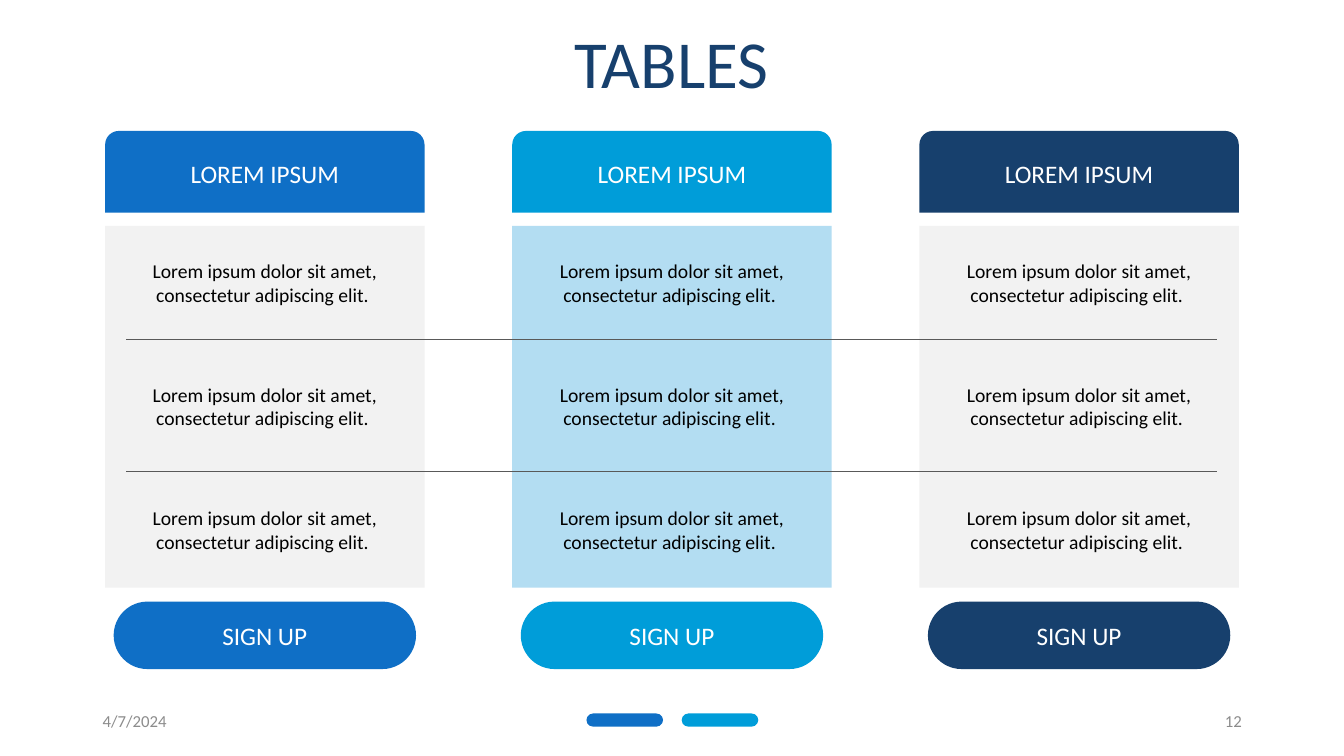
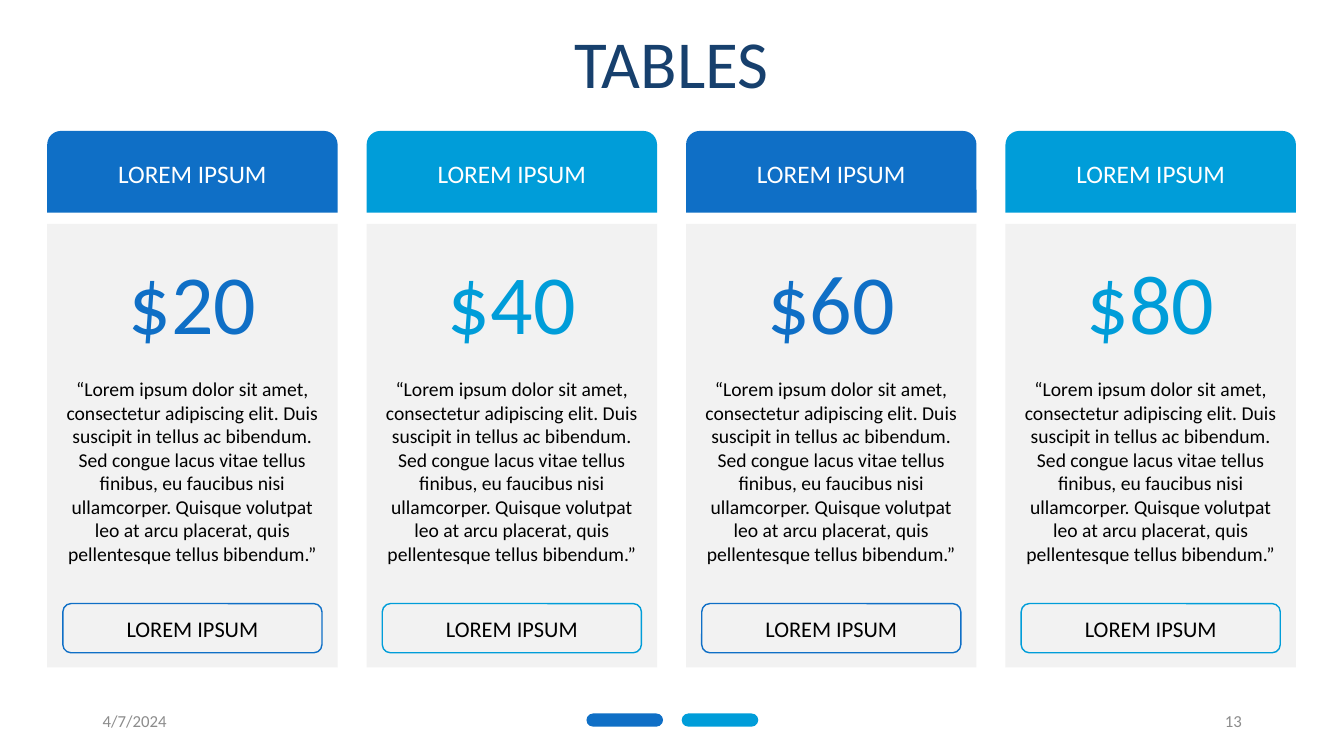
"""Build two pricing-table slides that share a title, a footer and column headers."""
from dataclasses import dataclass
from typing import NamedTuple, Optional

from lxml.etree import SubElement
from pptx import Presentation
from pptx.dml.color import RGBColor as RGB
from pptx.enum.shapes import MSO_AUTO_SHAPE_TYPE as Geo, MSO_CONNECTOR as Conn
from pptx.enum.text import MSO_ANCHOR as Anchor, MSO_AUTO_SIZE as Fit, PP_ALIGN as Align
from pptx.oxml.ns import qn
from pptx.slide import Slide
from pptx.text.text import TextFrame
from pptx.util import Cm, Pt


@dataclass(frozen=True)
class Theme:
    font: str = "Calibri"
    blue: RGB = RGB(0x0F, 0x6F, 0xC6)
    cyan: RGB = RGB(0x00, 0x9D, 0xD9)
    navy: RGB = RGB(0x17, 0x40, 0x6D)
    pale: RGB = RGB(0xB3, 0xDD, 0xF2)
    panel: RGB = RGB(0xF2, 0xF2, 0xF2)
    white: RGB = RGB(0xFF, 0xFF, 0xFF)
    black: RGB = RGB(0x00, 0x00, 0x00)
    grey: RGB = RGB(0x8C, 0x8C, 0x8C)
    rule: RGB = RGB(0x59, 0x59, 0x59)
    title: int = 48
    price: int = 60
    header: int = 18
    label: int = 16
    body: int = 14
    footer: int = 12


T = Theme()


class Box(NamedTuple):
    x: float
    y: float
    w: float
    h: float

    def emu(self) -> tuple:
        return tuple(Cm(v) for v in self)

    def inner(self, y: float, w: float, h: float) -> "Box":
        return Box(self.x + (self.w - w) / 2, y, w, h)


@dataclass(frozen=True)
class Style:
    size: int
    color: RGB
    align: Align = Align.CENTER
    anchor: Anchor = Anchor.MIDDLE
    inset: bool = True


@dataclass(frozen=True)
class Plan:
    color: RGB
    panel: RGB = T.panel
    price: str = ""


HEADER = Style(T.header, T.white)
ITEM = "Lorem ipsum dolor sit amet, consectetur adipiscing elit. "
QUOTE = (
    "“Lorem ipsum dolor sit amet, consectetur adipiscing elit. Duis suscipit in tellus "
    "ac bibendum. Sed congue lacus vitae tellus finibus, eu faucibus nisi ullamcorper. "
    "Quisque volutpat leo at arcu placerat, quis pellentesque tellus bibendum.”"
)
FEATURE_PLANS = (Plan(T.blue), Plan(T.cyan, T.pale), Plan(T.navy))
PRICE_PLANS = (
    Plan(T.blue, price="$20"),
    Plan(T.cyan, price="$40"),
    Plan(T.blue, price="$60"),
    Plan(T.cyan, price="$80"),
)


def write(tf: TextFrame, text: str, style: Style) -> None:
    tf.word_wrap = True
    tf.auto_size = Fit.NONE
    tf.vertical_anchor = style.anchor
    if not style.inset:
        tf.margin_left = tf.margin_top = tf.margin_right = tf.margin_bottom = 0
    p = tf.paragraphs[0]
    p.alignment = style.align
    r = p.add_run()
    r.text = text
    r.font.name = T.font
    r.font.size = Pt(style.size)
    r.font.color.rgb = style.color


def add_text(s: Slide, box: Box, text: str, style: Style) -> None:
    write(s.shapes.add_textbox(*box.emu()).text_frame, text, style)


def add_block(s: Slide, geo: Geo, box: Box, fill: Optional[RGB] = None,
              line: Optional[RGB] = None, text: str = "", style: Style = HEADER,
              radius: Optional[float] = None) -> None:
    sp = s.shapes.add_shape(geo, *box.emu())
    sp.shadow.inherit = False
    if radius is not None:
        sp.adjustments[0] = radius
    if fill is None:
        sp.fill.background()
    else:
        sp.fill.solid()
        sp.fill.fore_color.rgb = fill
    if line is None:
        sp.line.fill.background()
    else:
        sp.line.color.rgb = line
        sp.line.width = Pt(1)
    if text:
        write(sp.text_frame, text, style)


def add_rule(s: Slide, x1: float, x2: float, y: float) -> None:
    cx = s.shapes.add_connector(Conn.STRAIGHT, Cm(x1), Cm(y), Cm(x2), Cm(y))
    cx.line.color.rgb = T.rule
    cx.line.width = Pt(0.5)
    SubElement(cx._element.spPr, qn("a:effectLst"))


def add_slide(prs: Presentation, title: str, number: int) -> Slide:
    s = prs.slides.add_slide(prs.slide_layouts[5])
    sp = s.shapes.title
    sp.left, sp.top, sp.width, sp.height = Box(1.19, 0.53, 31.47, 2.06).emu()
    write(sp.text_frame, title, Style(T.title, T.navy, anchor=Anchor.TOP, inset=False))
    for i, color in enumerate((T.blue, T.cyan)):
        add_block(s, Geo.ROUNDED_RECTANGLE, Box(14.78 + 2.4 * i, 17.98, 1.93, 0.33),
                  color, radius=0.5)
    for x, text, align in ((2.34, "4/7/2024", Align.LEFT), (23.93, str(number), Align.RIGHT)):
        add_text(s, Box(x, 17.65, 7.62, 1.02), text, Style(T.footer, T.grey, align))
    return s


def add_header(s: Slide, x: float, w: float, color: RGB) -> None:
    add_block(s, Geo.ROUND_2_SAME_RECTANGLE, Box(x, 3.3, w, 2.06), color, text="LOREM IPSUM")


def add_feature_slide(prs: Presentation) -> None:
    s = add_slide(prs, "TABLES", 12)
    columns = [Box(2.65 + 10.26 * i, 5.69, 8.05, 9.12) for i in range(len(FEATURE_PLANS))]
    for col, plan in zip(columns, FEATURE_PLANS):
        add_header(s, col.x, col.w, plan.color)
        add_block(s, Geo.RECTANGLE, col, plan.panel)
        add_block(s, Geo.ROUNDED_RECTANGLE, col.inner(15.16, 7.62, 1.7), plan.color,
                  text="SIGN UP", radius=0.5)
    for y in (8.56, 11.89):
        add_rule(s, 3.18, 30.68, y)
    for col in columns:
        for row in range(3):
            add_text(s, col.inner(6.4 + 3.11 * row, 6.76, 1.45), ITEM, Style(T.body, T.black))


def add_price_slide(prs: Presentation) -> None:
    s = add_slide(prs, "TABLES", 13)
    for i, plan in enumerate(PRICE_PLANS):
        col = Box(1.19 + 8.05 * i, 5.64, 7.32, 11.18)
        add_header(s, col.x, col.w, plan.color)
        add_block(s, Geo.RECTANGLE, col, plan.panel)
        add_block(s, Geo.ROUNDED_RECTANGLE, col.inner(15.21, 6.53, 1.24), line=plan.color,
                  text="LOREM IPSUM", style=Style(T.label, T.black))
        add_text(s, col.inner(6.3, 5.31, 2.57), plan.price,
                 Style(T.price, plan.color, inset=False))
        add_text(s, col.inner(9.5, 6.53, 4.78), QUOTE,
                 Style(T.body, T.black, anchor=Anchor.TOP, inset=False))


def main() -> None:
    prs = Presentation()
    prs.slide_width, prs.slide_height = Cm(33.87), Cm(19.05)
    add_feature_slide(prs)
    add_price_slide(prs)
    prs.save("out.pptx")


if __name__ == "__main__":
    main()
